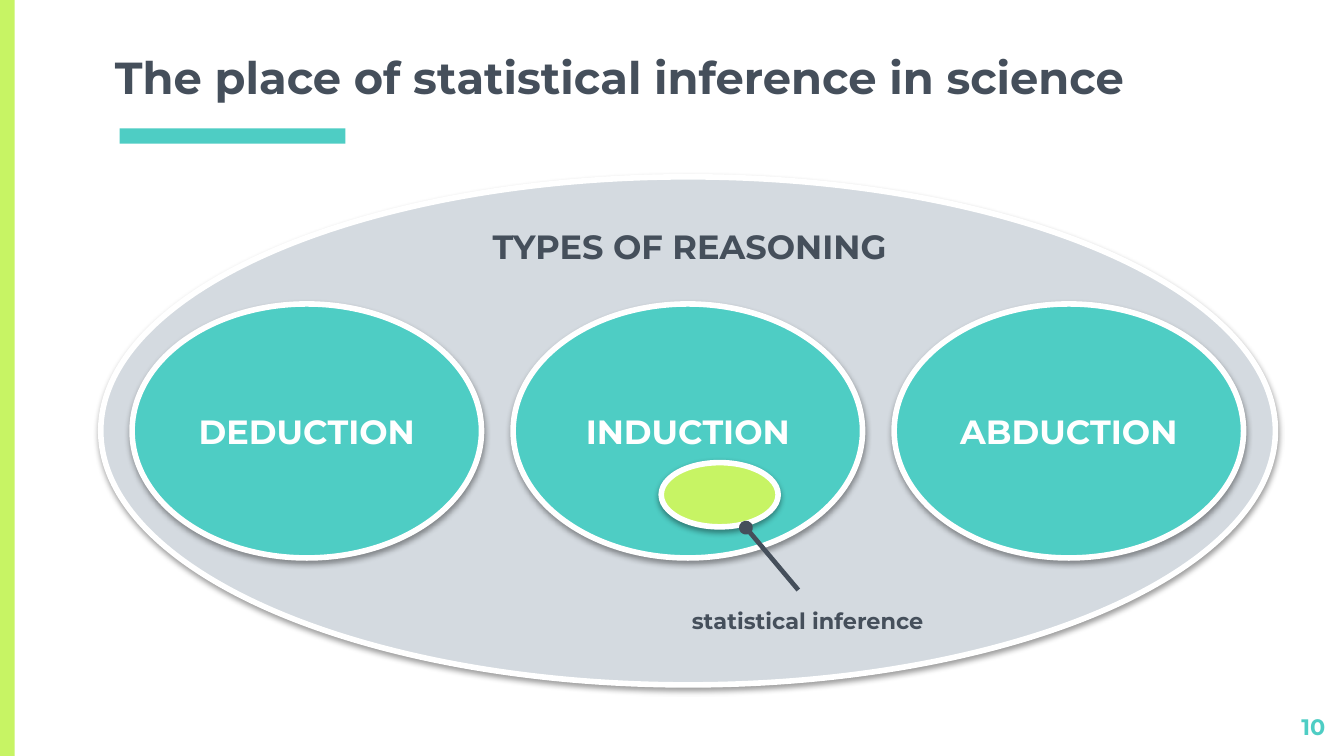
from lxml import etree
from pptx import Presentation
from pptx.dml.color import RGBColor
from pptx.enum.shapes import MSO_CONNECTOR, MSO_SHAPE
from pptx.enum.text import MSO_ANCHOR, MSO_AUTO_SIZE, PP_ALIGN
from pptx.oxml import parse_xml
from pptx.oxml.ns import nsdecls, qn
from pptx.util import Inches, Pt

RECT, OVAL = MSO_SHAPE.RECTANGLE, MSO_SHAPE.OVAL
LINE = MSO_CONNECTOR.STRAIGHT
LEFT, MID, RIGHT = PP_ALIGN.LEFT, PP_ALIGN.CENTER, PP_ALIGN.RIGHT
TOP, CENTER, BASE = MSO_ANCHOR.TOP, MSO_ANCHOR.MIDDLE, MSO_ANCHOR.BOTTOM
FIXED = MSO_AUTO_SIZE.NONE

HUES = {"lime": "C7F464", "teal": "4ECDC4", "gray": "D4DAE0",
        "dark": "454F5B", "white": "FFFFFF"}
TINT = {name: RGBColor.from_string(code) for name, code in HUES.items()}
SHADE = (f'<a:effectLst {nsdecls("a")}>'
         '<a:outerShdw blurRad="40000" dist="20000" dir="5400000" rotWithShape="0">'
         '<a:srgbClr val="000000"><a:alpha val="38000"/></a:srgbClr>'
         '</a:outerShdw></a:effectLst>')

deck = Presentation()
deck.slide_width = Inches(10)
deck.slide_height = deck.slide_width * 9 // 16
col, row = deck.slide_width / 100, deck.slide_height / 100
slide = deck.slides.add_slide(deck.slide_layouts[5])
shapes = slide.shapes


def draw(kind, x, y, w, h, fill):
    shape = shapes.add_shape(kind, int(x * col), int(y * row), int(w * col), int(h * row))
    shape.shadow.inherit = False
    shape.fill.solid()
    shape.fill.fore_color.rgb = TINT[fill]
    if kind == OVAL:
        shape.line.color.rgb = TINT["white"]
        shape.line.width = Pt(3)
        props = shape.element.spPr
        props.replace(props.find(qn("a:effectLst")), parse_xml(SHADE))
    else:
        shape.line.fill.background()
    return shape


def write(shape, text, size, hue, align=MID, anchor=TOP, pad=0.05):
    frame = shape.text_frame
    frame.text = text
    frame.word_wrap = True
    frame.auto_size = FIXED
    frame.vertical_anchor = anchor
    frame.margin_left = frame.margin_right = Inches(0.1)
    frame.margin_top = frame.margin_bottom = Inches(pad)
    line = frame.paragraphs[0]
    line.alignment = align
    font = line.runs[0].font
    font.name, font.size, font.bold = "Montserrat", Pt(size), True
    font.color.rgb = TINT[hue]


draw(RECT, 0, 0, 1.1, 100, "lime")
draw(RECT, 8.9, 17, 16.8, 2, "teal")
draw(OVAL, 7.5, 23.4, 87.4, 67.2, "gray")

title = shapes.title
title.left, title.top = int(7.55 * col), int(5.8 * row)
title.width, title.height = int(84.9 * col), int(9.6 * row)
write(title, "The place of statistical inference in science", 24, "dark", LEFT, BASE, 0.1)

for i, name in enumerate(("DEDUCTION", "INDUCTION", "ABDUCTION")):
    oval = draw(OVAL, 9.83 + 28.35 * i, 40.2, 26, 33.6, "teal")
    write(oval, name, 18, "white", anchor=CENTER)

draw(OVAL, 49.2, 61.2, 8.7, 8.5, "lime")

link = shapes.add_connector(LINE, int(59.4 * col), int(78.05 * row),
                            int(55.5 * col), int(69.8 * row))
link.line.color.rgb = TINT["dark"]
link.line.width = Pt(2.5)
props = link.element.spPr
etree.SubElement(props.find(qn("a:ln")), qn("a:tailEnd"), type="oval")
etree.SubElement(props, qn("a:effectLst"))

for text, x, y, w, h, size, hue, align, pad in (
    ("TYPES OF REASONING", 35.4, 29, 31.8, 7.1, 18, "dark", MID, 0.05),
    ("statistical inference", 44.2, 79.45, 31.8, 5.4, 12, "dark", MID, 0.05),
    ("10", 93.6, 92.5, 6, 6, 12, "teal", RIGHT, 0.1),
):
    box = shapes.add_textbox(int(x * col), int(y * row), int(w * col), int(h * row))
    write(box, text, size, hue, align, pad=pad)

deck.save("out.pptx")
